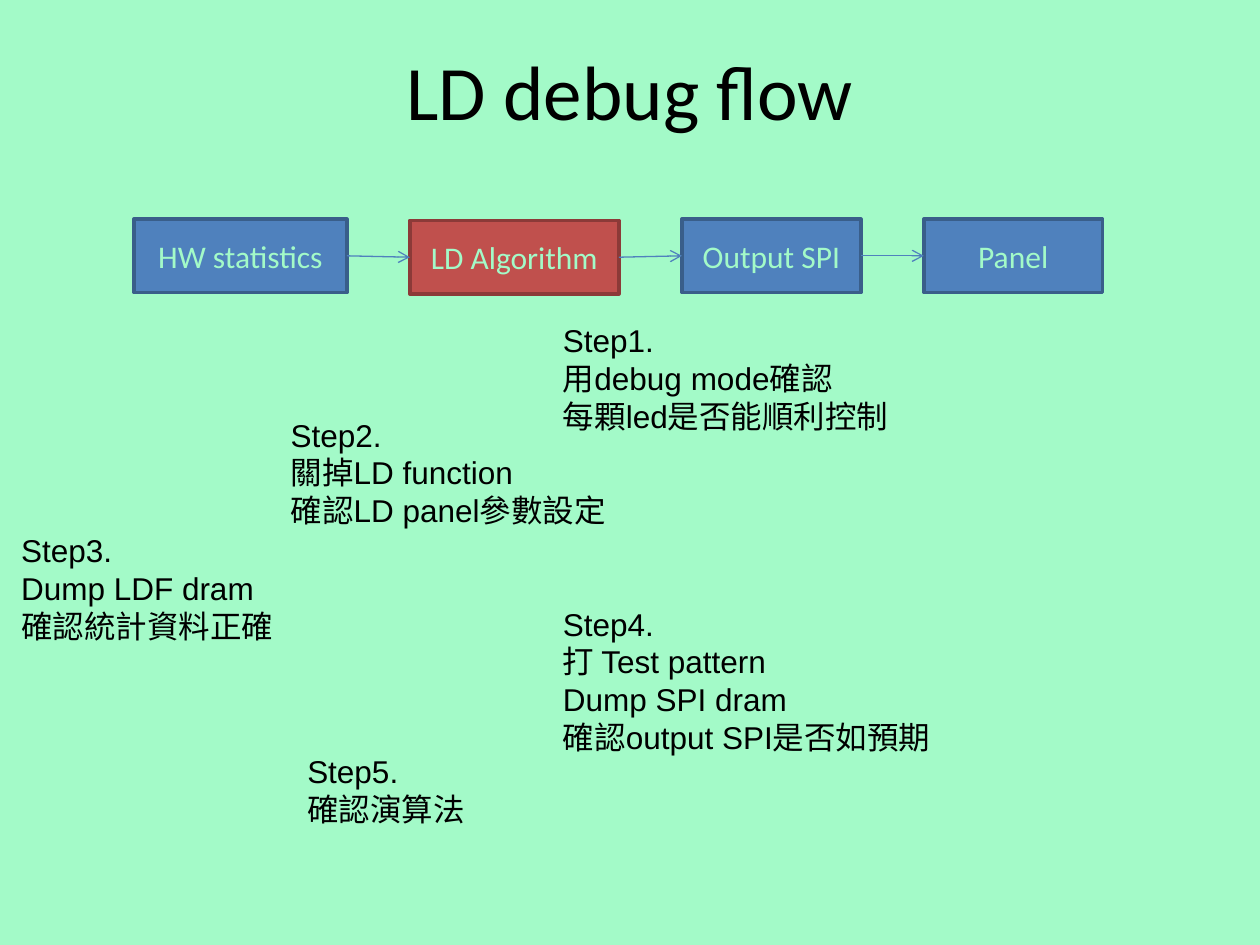
"""Build the LD debug flow slide: four linked stages and five check steps."""
from dataclasses import dataclass

from lxml.etree import SubElement
from pptx import Presentation
from pptx.dml.color import RGBColor
from pptx.enum.shapes import MSO_CONNECTOR, MSO_SHAPE
from pptx.enum.text import MSO_ANCHOR, PP_ALIGN
from pptx.oxml.ns import qn
from pptx.util import Pt

COLORS = {
    "mint": "A3FAC8", "black": "000000",
    "blue": "4F81BD", "blue_edge": "395E8A",
    "red": "C0504D", "red_edge": "8C3A38",
}
FLOW_LEFT, FLOW_GAP, STAGE_HEIGHT = 76.5, 36, 42
STEP_LEADING = 21.6


@dataclass
class Stage:
    text: str
    width: float
    top: float = 125.2
    color: str = "blue"


@dataclass
class Step:
    left: float
    top: float
    width: float
    lines: tuple[str, ...]


STAGES = [
    Stage("HW statistics", 121.7),
    Stage("LD Algorithm", 119.5, 126, "red"),
    Stage("Output SPI", 102.2),
    Stage("Panel", 102.2),
]
STEPS = [
    Step(314.6, 180, 353, ("Step1.", "用debug mode確認", "每顆led是否能順利控制")),
    Step(5, 300.2, 302, ("Step3.", "Dump LDF dram", "確認統計資料正確")),
    Step(159, 234, 347, ("Step2.", "關掉LD function", "確認LD panel參數設定")),
    Step(314.6, 342, 377,
         ("Step4.", "打 Test pattern", "Dump SPI dram", "確認output SPI是否如預期")),
    Step(168.5, 426.2, 248, ("Step5.", "確認演算法")),
]


def rgb(name: str) -> RGBColor:
    return RGBColor.from_string(COLORS[name])


def set_text(sp, text: str, size: float, font: str, color: str,
             align=PP_ALIGN.LEFT, anchor=MSO_ANCHOR.TOP, leading=None) -> None:
    tf = sp.text_frame
    tf.text = text
    tf.word_wrap = True
    tf.vertical_anchor = anchor
    for p in tf.paragraphs:
        p.alignment = align
        if leading:
            p.line_spacing = Pt(leading)
        for r in p.runs:
            r.font.size = Pt(size)
            r.font.name = font
            r.font.color.rgb = rgb(color)


def add_title(s, text: str) -> None:
    sp = s.shapes.add_textbox(Pt(36), Pt(6), Pt(648), Pt(90))
    set_text(sp, text, 44, "Calibri", "black", PP_ALIGN.CENTER, MSO_ANCHOR.MIDDLE)


def add_stage(s, stage: Stage, left: float):
    sp = s.shapes.add_shape(MSO_SHAPE.RECTANGLE, Pt(left), Pt(stage.top),
                            Pt(stage.width), Pt(STAGE_HEIGHT))
    sp.shadow.inherit = False
    sp.fill.solid()
    sp.fill.fore_color.rgb = rgb(stage.color)
    sp.line.color.rgb = rgb(f"{stage.color}_edge")
    sp.line.width = Pt(2)
    set_text(sp, stage.text, 18, "Calibri", "mint", PP_ALIGN.CENTER, MSO_ANCHOR.MIDDLE)
    return sp


def add_arrow(s, start, end) -> None:
    cn = s.shapes.add_connector(MSO_CONNECTOR.STRAIGHT, 0, 0, 0, 0)
    cn.begin_connect(start, 3)
    cn.end_connect(end, 1)
    cn.line.color.rgb = rgb("blue")
    cn.line.width = Pt(0.75)
    SubElement(cn.line._get_or_add_ln(), qn("a:tailEnd"), type="arrow")
    SubElement(cn._element.spPr, qn("a:effectLst"))


def add_step(s, step: Step) -> None:
    height = len(step.lines) * STEP_LEADING + 7.2
    sp = s.shapes.add_textbox(Pt(step.left), Pt(step.top), Pt(step.width), Pt(height))
    set_text(sp, "\n".join(step.lines), 18, "Arial", "black", leading=STEP_LEADING)


def main() -> None:
    prs = Presentation()
    prs.slide_width, prs.slide_height = Pt(720), Pt(540)
    s = prs.slides.add_slide(prs.slide_layouts[6])
    s.background.fill.solid()
    s.background.fill.fore_color.rgb = rgb("mint")
    add_title(s, "LD debug flow")

    left, boxes = FLOW_LEFT, []
    for stage in STAGES:
        boxes.append(add_stage(s, stage, left))
        left += stage.width + FLOW_GAP
    for start, end in zip(boxes, boxes[1:]):
        add_arrow(s, start, end)

    for step in STEPS:
        add_step(s, step)
    prs.save("out.pptx")


if __name__ == "__main__":
    main()
